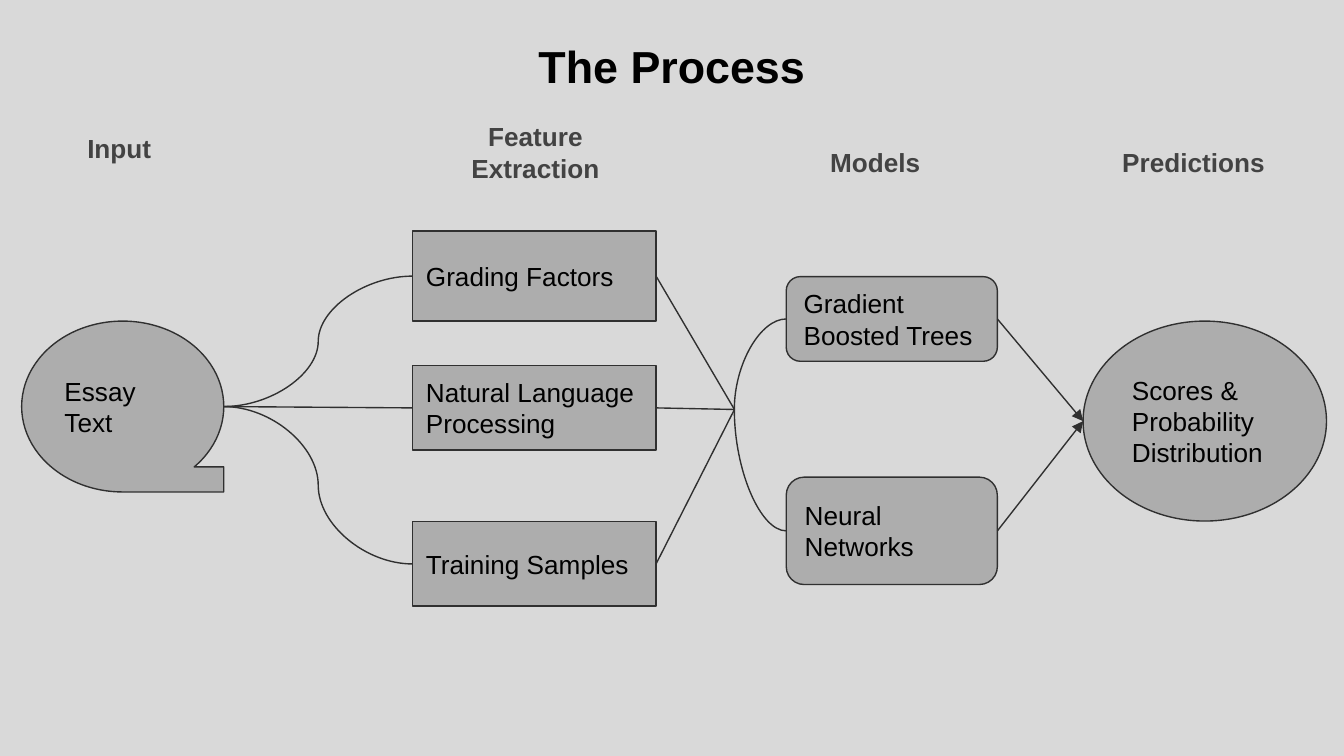
from lxml.etree import SubElement
from pptx import Presentation
from pptx.dml.color import RGBColor
from pptx.enum.shapes import MSO_CONNECTOR as Link, MSO_SHAPE as Form
from pptx.enum.text import MSO_ANCHOR as Anchor, PP_ALIGN as Align
from pptx.oxml.ns import qn
from pptx.util import Cm, Pt

COLORS = {
    "background": "D9D9D9",
    "node": "ADADAD",
    "outline": "303030",
    "heading": "434343",
    "text": "000000",
}
FONT = "Arial"
INSET = Cm(0.25)
LEFT, RIGHT = 1, 3  # connection sites


def color(name):
    return RGBColor.from_string(COLORS[name])


def write(shape, lines, size=14, tint="text", bold=False,
          align=Align.LEFT, anchor=Anchor.MIDDLE):
    frame = shape.text_frame
    frame.word_wrap = True
    frame.vertical_anchor = anchor
    frame.margin_left = frame.margin_right = INSET
    frame.margin_top = frame.margin_bottom = INSET
    frame.text = "\n".join(lines)
    for paragraph in frame.paragraphs:
        paragraph.alignment = align
        font = paragraph.font
        font.name, font.size, font.bold = FONT, Pt(size), bold
        font.color.rgb = color(tint)


def add_heading(slide, box, *lines, align=Align.LEFT):
    shape = slide.shapes.add_textbox(*map(Cm, box))
    write(shape, lines, tint="heading", bold=True, align=align, anchor=Anchor.TOP)


def add_node(slide, form, box, text):
    shape = slide.shapes.add_shape(form, *map(Cm, box))
    shape.shadow.inherit = False
    shape.fill.solid()
    shape.fill.fore_color.rgb = color("node")
    shape.line.color.rgb = color("outline")
    shape.line.width = Pt(0.75)
    write(shape, [text])
    return shape


def side(shape, site):
    """Middle of the left or right side of a shape."""
    x = shape.left + (shape.width if site == RIGHT else 0)
    return x, shape.top + shape.height // 2


def add_link(slide, kind, start, end, begin=None, finish=None, arrow=False):
    """Link two points; begin and finish are optional (shape, site) pairs."""
    link = slide.shapes.add_connector(kind, *start, *end)
    if begin:
        link.begin_connect(*begin)
    if finish:
        link.end_connect(*finish)
    link.line.color.rgb = color("outline")
    link.line.width = Pt(0.75)
    properties = link.element.spPr
    if arrow:
        SubElement(properties.find(qn("a:ln")), qn("a:tailEnd"), type="triangle")
    SubElement(properties, qn("a:effectLst"))
    return link


def place_title(slide, box):
    title = slide.shapes.title
    title.left, title.top, title.width, title.height = map(Cm, box)
    write(title, ["The Process"], size=24, bold=True, align=Align.CENTER)


def place_input(slide, box):
    x, y, width, height = box
    add_heading(slide, (x + 0.99, y, 3.2, 0.89), "Input")
    return add_node(slide, Form.FLOWCHART_SEQUENTIAL_ACCESS_STORAGE,
                    (x, y + 3.81, width, height - 3.81), "Essay Text")


def place_features(slide, box):
    x, y, width, _ = box
    add_heading(slide, (x + 0.4, y, width - 0.76, 1.12),
                "Feature", "Extraction", align=Align.CENTER)
    rows = [
        (2.34, 1.7, "Grading Factors"),
        (4.88, 1.6, "Natural Language Processing"),
        (7.83, 1.6, "Training Samples"),
    ]
    return [add_node(slide, Form.RECTANGLE, (x, y + top, width, height), text)
            for top, height, text in rows]


def place_models(slide, box):
    x, y, width, _ = box
    add_heading(slide, (x + 0.58, y, 2.62, 1.12), "Models")
    rows = [
        (2.72, 1.6, "Gradient Boosted Trees"),
        (6.51, 2.03, "Neural Networks"),
    ]
    return [add_node(slide, Form.ROUNDED_RECTANGLE, (x, y + top, width, height), text)
            for top, height, text in rows]


def place_predictions(slide, box):
    x, y, width, height = box
    add_heading(slide, (x + 0.49, y, 3.63, 1.12), "Predictions")
    return add_node(slide, Form.OVAL, (x, y + 3.56, width, height - 3.56),
                    "Scores & Probability Distribution")


def place_links(slide, essay, features, models, scores):
    merge = Cm(13.88), Cm(7.74)

    # Essay fans out to the features, which meet at the merge point
    for feature, kind in zip(features, (Link.CURVE, Link.STRAIGHT, Link.CURVE)):
        add_link(slide, kind, side(essay, RIGHT), side(feature, LEFT),
                 finish=(feature, LEFT))
        add_link(slide, Link.STRAIGHT, side(feature, RIGHT), merge,
                 begin=(feature, RIGHT))

    # Merge point to the models, and on to the predictions
    for model in models:
        curve = add_link(slide, Link.CURVE, side(model, LEFT), merge,
                         begin=(model, LEFT))
        curve.element.spPr.find(qn("a:prstGeom")).set("prst", "curvedConnector2")
        add_link(slide, Link.STRAIGHT, side(model, RIGHT), side(scores, LEFT),
                 begin=(model, RIGHT), arrow=True)


def main():
    presentation = Presentation()
    presentation.slide_width, presentation.slide_height = Cm(25.4), Cm(14.29)
    slide = presentation.slides.add_slide(presentation.slide_layouts[5])
    slide.background.fill.solid()
    slide.background.fill.fore_color.rgb = color("background")

    place_title(slide, (0.86, 0.43, 23.67, 1.6))
    essay = place_input(slide, (0.41, 2.26, 3.82, 7.04))
    features = place_features(slide, (7.8, 2.03, 4.6, 9.43))
    models = place_models(slide, (14.86, 2.51, 3.99, 8.54))
    scores = place_predictions(slide, (20.47, 2.51, 4.6, 7.34))
    place_links(slide, essay, features, models, scores)

    presentation.save("out.pptx")


if __name__ == "__main__":
    main()
